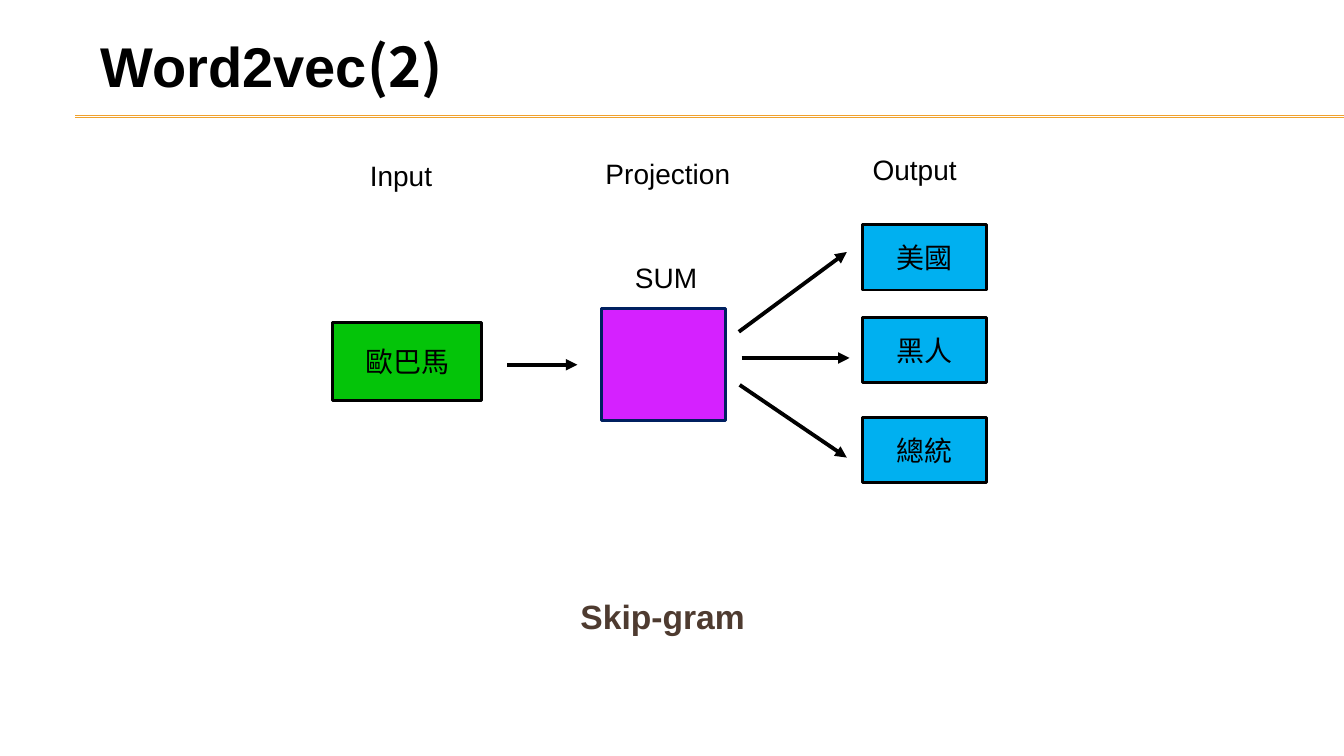
from dataclasses import dataclass

import lxml.etree
import pptx
import pptx.dml.color
import pptx.enum.shapes
import pptx.enum.text
import pptx.oxml.ns
import pptx.slide
import pptx.text.text
import pptx.util

Cm = pptx.util.Cm
Pt = pptx.util.Pt
RGBColor = pptx.dml.color.RGBColor

BLACK = RGBColor(0x00, 0x00, 0x00)
GOLD = RGBColor(0xF0, 0xA2, 0x2E)
BLUE = RGBColor(0x00, 0xB0, 0xF0)
GREEN = RGBColor(0x04, 0xC4, 0x09)
PURPLE = RGBColor(0xD5, 0x21, 0xFF)
NAVY = RGBColor(0x00, 0x20, 0x60)
BROWN = RGBColor(0x4E, 0x3B, 0x30)
LATIN = "Arial"
HAN = "Noto Sans CJK SC"


@dataclass
class Run:
    text: str
    font: str = LATIN
    size: float = 20
    color: RGBColor = BLACK
    bold: bool = False


@dataclass
class Label:
    left: float
    top: float
    width: float
    height: float
    runs: list[Run]
    gap: float = 2
    middle: bool = False


@dataclass
class Box:
    left: float
    top: float
    width: float
    height: float
    fill: RGBColor
    edge: RGBColor = BLACK
    text: str = ""


@dataclass
class Line:
    x1: float
    y1: float
    x2: float
    y2: float
    color: RGBColor = BLACK
    weight: float = 2.75
    arrow: bool = True


def add_run(para: pptx.text.text._Paragraph, item: Run) -> None:
    run = para.add_run()
    run.text = item.text
    run.font.name = item.font
    run.font.size = Pt(item.size)
    run.font.bold = item.bold
    run.font.color.rgb = item.color
    if item.font == HAN:
        tag = pptx.oxml.ns.qn("a:ea")
        lxml.etree.SubElement(run.font._element, tag, typeface=HAN)


def add_label(slide: pptx.slide.Slide, item: Label) -> None:
    shape = slide.shapes.add_textbox(
        Cm(item.left), Cm(item.top), Cm(item.width), Cm(item.height))
    frame = shape.text_frame
    frame.word_wrap = True
    if item.middle:
        frame.vertical_anchor = pptx.enum.text.MSO_ANCHOR.MIDDLE
    para = frame.paragraphs[0]
    para.space_before = Pt(item.gap)
    for run in item.runs:
        add_run(para, run)


def add_box(slide: pptx.slide.Slide, item: Box) -> None:
    shape = slide.shapes.add_shape(
        pptx.enum.shapes.MSO_SHAPE.RECTANGLE,
        Cm(item.left), Cm(item.top), Cm(item.width), Cm(item.height))
    shape.shadow.inherit = False
    shape.fill.solid()
    shape.fill.fore_color.rgb = item.fill
    shape.line.color.rgb = item.edge
    shape.line.width = Pt(2)
    if item.text:
        shape.text_frame.vertical_anchor = pptx.enum.text.MSO_ANCHOR.MIDDLE
        para = shape.text_frame.paragraphs[0]
        para.alignment = pptx.enum.text.PP_ALIGN.CENTER
        add_run(para, Run(item.text, HAN))


def add_line(slide: pptx.slide.Slide, item: Line) -> None:
    shape = slide.shapes.add_connector(
        pptx.enum.shapes.MSO_CONNECTOR.STRAIGHT,
        Cm(item.x1), Cm(item.y1), Cm(item.x2), Cm(item.y2))
    shape.line.color.rgb = item.color
    shape.line.width = Pt(item.weight)
    qn = pptx.oxml.ns.qn
    props = shape._element.spPr
    if item.arrow:
        edge = props.find(qn("a:ln"))
        lxml.etree.SubElement(edge, qn("a:tailEnd"), type="triangle")
    lxml.etree.SubElement(props, qn("a:effectLst"))


RULES = [Line(1.9, y, 33.87, y, GOLD, 0.75, False) for y in (2.92, 2.95)]
ARROWS = [
    Line(18.64, 9.7, 21.34, 11.53),
    Line(18.69, 9.02, 21.41, 9.02),
    Line(18.62, 8.36, 21.34, 6.35),
    Line(12.78, 9.19, 14.55, 9.19),
]
WORDS = [("美國", 5.66), ("黑人", 8.0), ("總統", 10.52)]
BOXES = [Box(21.74, top, 3.12, 1.65, BLUE, text=word) for word, top in WORDS]
BOXES += [
    Box(15.16, 7.77, 3.12, 2.82, PURPLE, NAVY),
    Box(8.38, 8.13, 3.76, 1.96, GREEN, text="歐巴馬"),
]
TITLE = [
    Run("Word2vec", size=40, bold=True),
    Run("(2)", HAN, 40, bold=True),
]
LABELS = [
    Label(2.29, 0, 21.46, 3.3, TITLE, 0, True),
    Label(9.07, 3.86, 2.39, 1.27, [Run("Input")]),
    Label(15.01, 3.81, 3.86, 1.27, [Run("Projection")]),
    Label(21.74, 3.73, 3.1, 1.27, [Run("Output")]),
    Label(15.75, 6.43, 2.36, 1.27, [Run("SUM")]),
    Label(14.38, 14.88, 5.64, 1.27,
          [Run("Skip-gram", size=24, color=BROWN, bold=True)]),
]


def main() -> None:
    deck = pptx.Presentation()
    deck.slide_width = Cm(33.87)
    deck.slide_height = Cm(19.05)
    slide = deck.slides.add_slide(deck.slide_layouts[6])
    for line in RULES + ARROWS:
        add_line(slide, line)
    for box in BOXES:
        add_box(slide, box)
    for label in LABELS:
        add_label(slide, label)
    deck.save("out.pptx")


if __name__ == "__main__":
    main()
